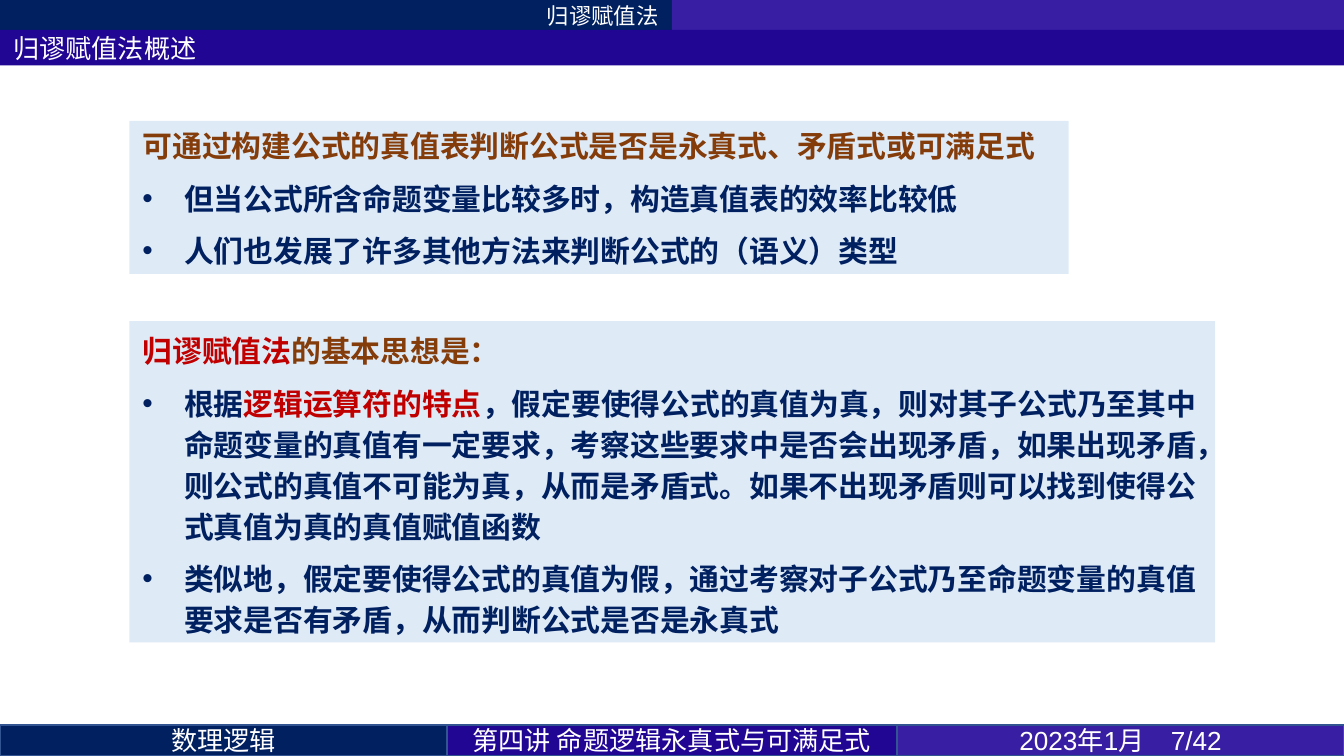
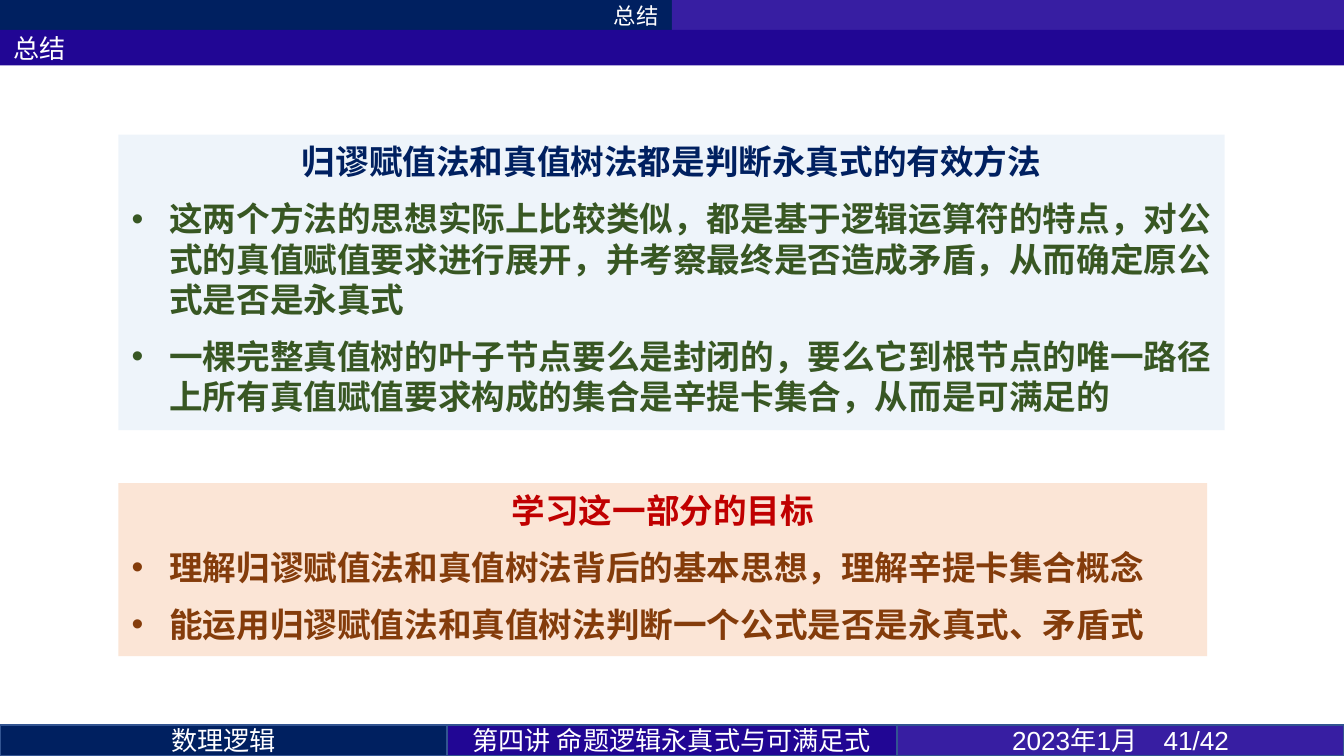
import lxml.etree
import pptx
import pptx.dml.color
import pptx.enum.shapes
import pptx.enum.text
import pptx.oxml.ns
import pptx.util

RGBColor = pptx.dml.color.RGBColor
ALIGN = pptx.enum.text.PP_ALIGN
ANCHOR = pptx.enum.text.MSO_ANCHOR
Pt = pptx.util.Pt
qn = pptx.oxml.ns.qn

# Colours and fonts
NAVY = RGBColor(0x00, 0x20, 0x60)
INDIGO = RGBColor(0x21, 0x06, 0x94)
VIOLET = RGBColor(0x37, 0x1E, 0xA2)
BORDER = RGBColor(0x32, 0x54, 0x91)
WHITE = RGBColor(0xFF, 0xFF, 0xFF)
PALE_BLUE = RGBColor(0xDE, 0xEB, 0xF7)
PALE_ORANGE = RGBColor(0xFB, 0xE5, 0xD6)
BROWN = RGBColor(0x84, 0x3C, 0x0B)
RED = RGBColor(0xC0, 0x00, 0x00)
GREEN = RGBColor(0x38, 0x57, 0x23)
CJK, LATIN, DIGITS = "Noto Sans CJK SC", "Calibri", "Arial"

# A 16:9 slide on a grid of 100 columns by 100 rows
presentation = pptx.Presentation()
presentation.slide_width = pptx.util.Inches(10)
presentation.slide_height = presentation.slide_width * 9 // 16
COLUMN = presentation.slide_width / 100
ROW = presentation.slide_height / 100
BAND_ROWS = 4.1
FOOTER_TOP = 100 - BAND_ROWS


def add_box(slide, left, top, columns, rows, fill, border=None, opacity=100):
    shape = slide.shapes.add_shape(
        pptx.enum.shapes.MSO_SHAPE.RECTANGLE,
        round(left * COLUMN), round(top * ROW),
        round(columns * COLUMN), round(rows * ROW))
    shape.shadow.inherit = False
    shape.fill.solid()
    shape.fill.fore_color.rgb = fill
    if opacity < 100:
        color = shape.fill._xPr.find(qn("a:solidFill"))[0]
        lxml.etree.SubElement(color, qn("a:alpha"), val=str(opacity * 1000))
    if border is None:
        shape.line.fill.background()
    else:
        shape.line.color.rgb = border
        shape.line.width = Pt(1)
    return shape


def write_paragraph(paragraph, runs, font, size, bold=False, indent=0, **formats):
    for name, value in formats.items():
        setattr(paragraph, name, value)
    if indent:
        properties = paragraph._p.get_or_add_pPr()
        hanging = pptx.util.Inches(indent)
        properties.set("marL", str(hanging))
        properties.set("indent", str(-hanging))
        lxml.etree.SubElement(properties, qn("a:buFont"), typeface=DIGITS)
        lxml.etree.SubElement(properties, qn("a:buChar"), char="•")
    for text, color in runs:
        run = paragraph.add_run()
        run.text = text
        for name, value in {"size": Pt(size), "bold": bold, "name": font}.items():
            setattr(run.font, name, value)
        run.font.color.rgb = color
        run_properties = run._r.get_or_add_rPr()
        run_properties.set("lang", "zh-CN")
        lxml.etree.SubElement(run_properties, qn("a:ea"), typeface=CJK)


# Panel styles: text size, hanging indent and spacing
OVERVIEW_BULLET = {"alignment": ALIGN.LEFT, "line_spacing": Pt(22),
                   "space_before": Pt(6)}
SUMMARY_BULLET = {"alignment": ALIGN.LEFT, "line_spacing": Pt(21.6),
                  "space_before": Pt(4.5), "space_after": Pt(4.5)}
OVERVIEW = {"size": 16, "indent": 0.31, "bullet": OVERVIEW_BULLET}
SUMMARY = {"size": 18, "indent": 0.28, "bullet": SUMMARY_BULLET}
CENTERED = SUMMARY_BULLET | {"alignment": ALIGN.CENTER}

# Content of the slides
SLIDES = [
    {"section": "归谬赋值法", "title": "归谬赋值法概述", "page": 7,
     "style": OVERVIEW,
     "panels": [
         {"place": (9.62, 16, 69.9, 20.25), "fill": PALE_BLUE, "opacity": 100,
          "format": {"alignment": ALIGN.LEFT, "line_spacing": Pt(19.5)},
          "heading": [("可通过构建公式的真值表判断公式是否是永真式、矛盾式或可满足式", BROWN)],
          "bullets": [
              [("但当公式所含命题变量比较多时，构造真值表的效率比较低", NAVY)],
              [("人们也发展了许多其他方法来判断公式的（语义）类型", NAVY)]]},
         {"place": (9.62, 42.5, 80.8, 42.5), "fill": PALE_BLUE, "opacity": 100,
          "format": OVERVIEW_BULLET,
          "heading": [("归谬赋值法", RED), ("的基本思想是：", BROWN)],
          "bullets": [
              [("根据", NAVY), ("逻辑运算符的特点", RED),
               ("，假定要使得公式的真值为真，则对其子公式乃至其中命题变量的真值有一定要求，"
                "考察这些要求中是否会出现矛盾，如果出现矛盾，则公式的真值不可能为真，"
                "从而是矛盾式。如果不出现矛盾则可以找到使得公式真值为真的真值赋值函数", NAVY)],
              [("类似地，假定要使得公式的真值为假，通过考察对子公式乃至命题变量的真值"
                "要求是否有矛盾，从而判断公式是否是永真式", NAVY)]]}]},
    {"section": "总结", "title": "总结", "page": 41,
     "style": SUMMARY,
     "panels": [
         {"place": (8.82, 17.8, 82.3, 39.1), "fill": PALE_BLUE, "opacity": 50,
          "format": CENTERED,
          "heading": [("归谬赋值法和真值树法都是判断永真式的有效方法", NAVY)],
          "bullets": [
              [("这两个方法的思想实际上比较类似，都是基于逻辑运算符的特点，对公式的真值赋值"
                "要求进行展开，并考察最终是否造成矛盾，从而确定原公式是否是永真式", GREEN)],
              [("一棵完整真值树的叶子节点要么是封闭的，要么它到根节点的唯一路径上所有真值"
                "赋值要求构成的集合是辛提卡集合，从而是可满足的", GREEN)]]},
         {"place": (8.82, 63.9, 81, 22.9), "fill": PALE_ORANGE, "opacity": 100,
          "format": CENTERED | {"space_before": Pt(0)},
          "heading": [("学习这一部分的目标", RED)],
          "bullets": [
              [("理解归谬赋值法和真值树法背后的基本思想，理解辛提卡集合概念", BROWN)],
              [("能运用归谬赋值法和真值树法判断一个公式是否是永真式、矛盾式", BROWN)]]}]},
]

for content in SLIDES:
    slide = presentation.slides.add_slide(presentation.slide_layouts[6])

    # Header and footer bands
    bands = [
        (0, 0, 50, BAND_ROWS, NAVY, None, content["section"], CJK, 12, ALIGN.RIGHT),
        (50, 0, 50, BAND_ROWS, VIOLET, None, "", CJK, 12, ALIGN.LEFT),
        (0, 3.95, 100, 4.7, INDIGO, None, content["title"], LATIN, 14, ALIGN.LEFT),
    ]
    footers = [
        (0, 33.25, NAVY, "数理逻辑", CJK),
        (33.25, 33.5, INDIGO, "第四讲 命题逻辑永真式与可满足式", CJK),
        (66.75, 33.25, VIOLET, f"2023年1月　{content['page']}/42", DIGITS),
    ]
    for left, columns, fill, text, font in footers:
        bands.append((left, FOOTER_TOP, columns, BAND_ROWS, fill, BORDER,
                      text, font, 14, ALIGN.CENTER))
    for left, top, columns, rows, fill, border, text, font, size, alignment in bands:
        band = add_box(slide, left, top, columns, rows, fill, border)
        if text:
            frame = band.text_frame
            for name, value in {"margin_top": 0, "margin_bottom": 0, "word_wrap": True,
                                "vertical_anchor": ANCHOR.MIDDLE}.items():
                setattr(frame, name, value)
            write_paragraph(frame.paragraphs[0], [(text, WHITE)], font, size,
                            alignment=alignment)

    # Text panels
    style = content["style"]
    for panel in content["panels"]:
        shape = add_box(slide, *panel["place"], panel["fill"], opacity=panel["opacity"])
        frame = shape.text_frame
        for name, value in {"word_wrap": True, "vertical_anchor": ANCHOR.TOP,
                            "auto_size": pptx.enum.text.MSO_AUTO_SIZE.SHAPE_TO_FIT_TEXT
                            }.items():
            setattr(frame, name, value)
        write_paragraph(frame.paragraphs[0], panel["heading"], LATIN, style["size"],
                        bold=True, **panel["format"])
        for runs in panel["bullets"]:
            write_paragraph(frame.add_paragraph(), runs, CJK, style["size"],
                            bold=True, indent=style["indent"], **style["bullet"])

presentation.save("out.pptx")
